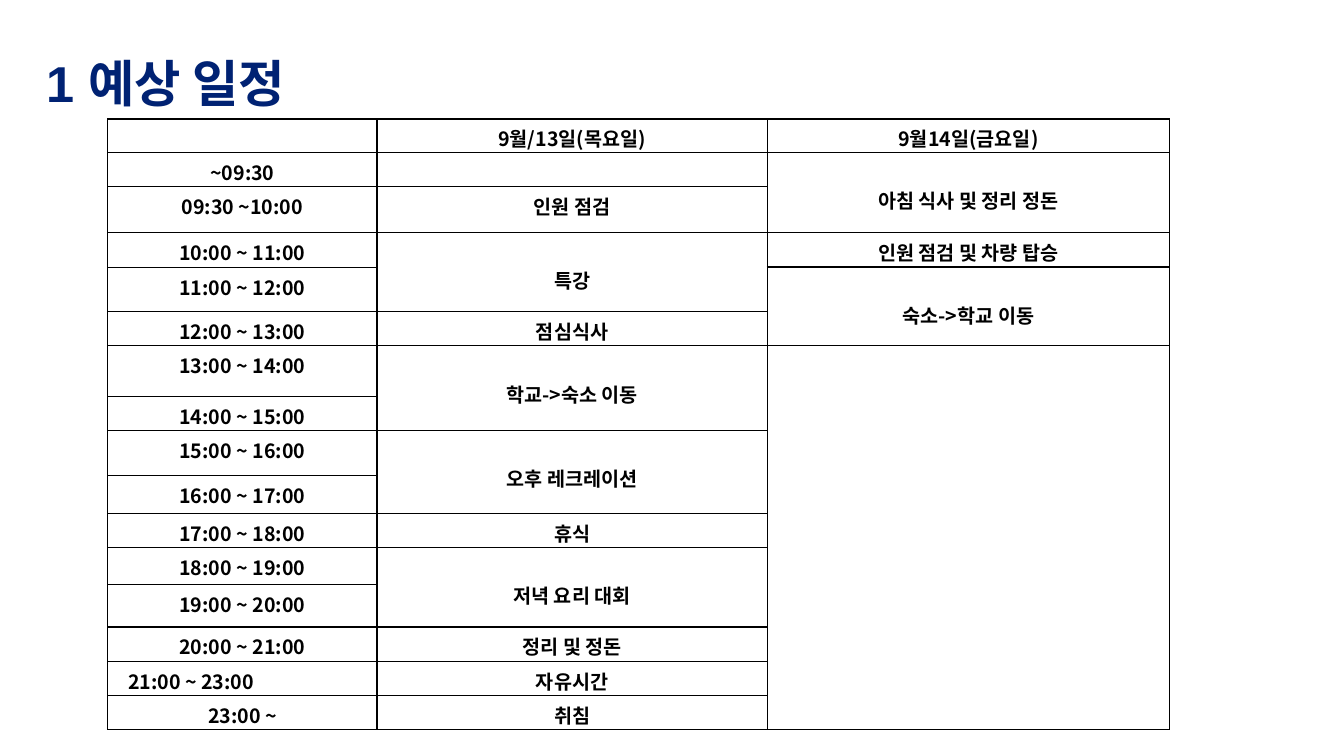
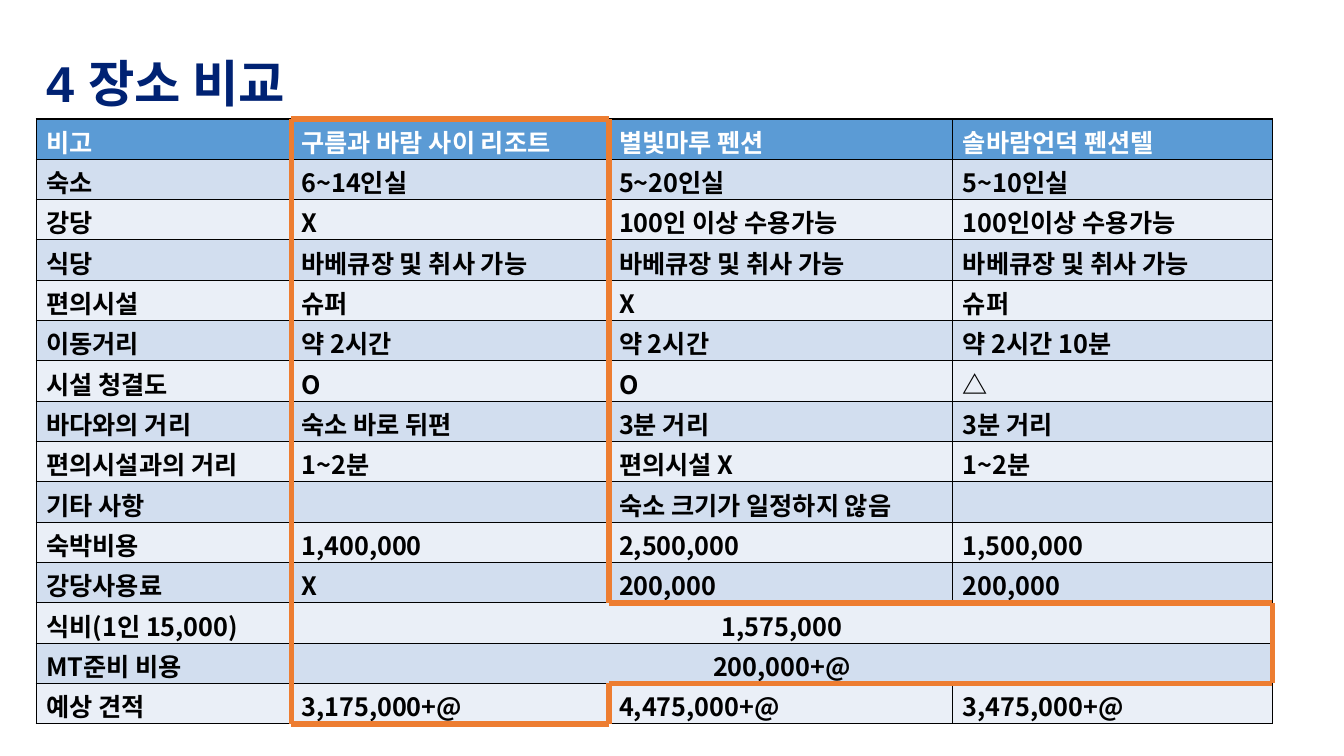
from lxml import etree
from pptx import Presentation
from pptx.dml.color import RGBColor
from pptx.enum.shapes import MSO_CONNECTOR
from pptx.enum.text import PP_ALIGN
from pptx.oxml.ns import qn
from pptx.util import Inches, Pt

LEFT, CENTER = PP_ALIGN.LEFT, PP_ALIGN.CENTER
STRAIGHT = MSO_CONNECTOR.STRAIGHT

# Shared style
TITLE_FONT, BODY_FONT = "Arial", "Noto Sans CJK KR"
NAVY, BLACK, WHITE = "002273", "000000", "FFFFFF"
HEADER, BAND_DARK, BAND_LIGHT = "5B9BD5", "D2DEEF", "EAEFF7"
ORANGE = "ED7D31"
TITLE_X, TITLE_Y, TABLE_Y = 0.36, 0.47, 1.18

# Schedule: one list per column of (first row, row span, text)
SCHEDULE_X = 1.07
SCHEDULE_COLS = [2.67, 3.87, 3.99]
SCHEDULE_ROWS = [0.33, 0.34, 0.46, 0.34, 0, 0.44, 0.34, 0.5, 0.34,
                 0.45, 0.37, 0.34, 0.37, 0.42, 0.34, 0.34, 0.34]
SCHEDULE = [
    [(0, 1, ""), (1, 1, "~09:30"), (2, 1, "09:30 ~10:00"),
     (3, 2, "10:00 ~ 11:00"), (5, 1, "11:00 ~ 12:00"),
     (6, 1, "12:00 ~ 13:00"), (7, 1, "13:00 ~ 14:00"),
     (8, 1, "14:00 ~ 15:00"), (9, 1, "15:00 ~ 16:00"),
     (10, 1, "16:00 ~ 17:00"), (11, 1, "17:00 ~ 18:00"),
     (12, 1, "18:00 ~ 19:00"), (13, 1, "19:00 ~ 20:00"),
     (14, 1, "20:00 ~ 21:00"), (15, 1, "21:00 ~ 23:00"),
     (16, 1, "23:00 ~")],
    [(0, 1, "9월/13일(목요일)"), (1, 1, ""), (2, 1, "인원 점검"),
     (3, 3, "특강"), (6, 1, "점심식사"), (7, 2, "학교->숙소 이동"),
     (9, 2, "오후 레크레이션"), (11, 1, "휴식"), (12, 2, "저녁 요리 대회"),
     (14, 1, "정리 및 정돈"), (15, 1, "자유시간"), (16, 1, "취침")],
    [(0, 1, "9월14일(금요일)"), (1, 2, "아침 식사 및 정리 정돈"),
     (3, 1, "인원 점검 및 차량 탑승"), (4, 3, "숙소->학교 이동"), (7, 10, "")],
]
EARLY_ROW = 15  # time set at the left of its cell

# Venue comparison: a row of two items spans the three venues
VENUE_X = 0.36
VENUE_COLS = [2.53, 3.15, 3.41, 3.17]
VENUE_ROW_H = 0.4
VENUES = [
    ["비고", "구름과 바람 사이 리조트", "별빛마루 펜션", "솔바람언덕 펜션텔"],
    ["숙소", "6~14인실", "5~20인실", "5~10인실"],
    ["강당", "X", "100인 이상 수용가능", "100인이상 수용가능"],
    ["식당"] + ["바베큐장 및 취사 가능"] * 3,
    ["편의시설", "슈퍼", "X", "슈퍼"],
    ["이동거리", "약 2시간", "약 2시간", "약 2시간 10분"],
    ["시설 청결도", "O", "O", "△"],
    ["바다와의 거리", "숙소 바로 뒤편", "3분 거리", "3분 거리"],
    ["편의시설과의 거리", "1~2분", "편의시설 X", "1~2분"],
    ["기타 사항", "", "숙소 크기가 일정하지 않음", ""],
    ["숙박비용", "1,400,000", "2,500,000", "1,500,000"],
    ["강당사용료", "X", "200,000", "200,000"],
    ["식비(1인 15,000)", "1,575,000"],
    ["MT준비 비용", "200,000+@"],
    ["예상 견적", "3,175,000+@", "4,475,000+@", "3,475,000+@"],
]


def rgb(color):
    return RGBColor.from_string(color)


def add_run(p, text, size, font, color):
    r = p.add_run()
    r.text = text
    r.font.size, r.font.bold, r.font.name = Pt(size), True, font
    r.font.color.rgb = rgb(color)
    etree.SubElement(r.font._element, qn("a:ea"), typeface=BODY_FONT)


def add_title(s, text, width):
    box = s.shapes.add_textbox(Inches(TITLE_X), Inches(TITLE_Y),
                               Inches(width), Inches(0.71))
    box.text_frame.word_wrap = False
    add_run(box.text_frame.paragraphs[0], text, 36, TITLE_FONT, NAVY)


def add_grid(s, x, cols, rows):
    """Add a plain table with a thin black border round every cell."""
    frame = s.shapes.add_table(len(rows), len(cols), Inches(x), Inches(TABLE_Y),
                               Inches(sum(cols)), Inches(sum(rows)))
    table = frame.table
    table.first_row = table.horz_banding = False
    for col, width in zip(table.columns, cols):
        col.width = Inches(width)
    for row, height in zip(table.rows, rows):
        row.height = Inches(height)
    for cell in table.iter_cells():
        tc_pr = cell._tc.get_or_add_tcPr()
        for side in ("a:lnL", "a:lnR", "a:lnT", "a:lnB"):
            ln = etree.SubElement(tc_pr, qn(side), w=str(Pt(1)))
            fill = etree.SubElement(ln, qn("a:solidFill"))
            etree.SubElement(fill, qn("a:srgbClr"), val=BLACK)
        cell.fill.background()
    return table


def fill_cell(cell, text, size, color=BLACK, align=LEFT, top=0.05):
    cell.margin_top, cell.margin_bottom = Inches(top), 0
    p = cell.text_frame.paragraphs[0]
    p.alignment = align
    if text:
        add_run(p, text, size, BODY_FONT, color)
    else:  # keeps an empty row from growing
        etree.SubElement(p._p, qn("a:endParaRPr"), sz=str(size * 100))


def add_outline(s, points):
    """Join the points into a closed outline of thick lines."""
    group = s.shapes.add_group_shape()
    for start, end in zip(points, points[1:] + points[:1]):
        line = group.shapes.add_connector(
            STRAIGHT, *(Inches(v) for v in start + end))
        line.line.color.rgb, line.line.width = rgb(ORANGE), Pt(4)
        etree.SubElement(line._element.spPr, qn("a:effectLst"))


def schedule_slide(s):
    add_title(s, "1 예상 일정", 2.87)
    table = add_grid(s, SCHEDULE_X, SCHEDULE_COLS, SCHEDULE_ROWS)
    for c, entries in enumerate(SCHEDULE):
        for row, span, text in entries:
            cell = table.cell(row, c)
            if span > 1:
                cell.merge(table.cell(row + span - 1, c))
            # Merged activities sit one line lower
            top = 0.33 if span > 1 and c > 0 else 0.05
            fill_cell(cell, text, 14, align=CENTER, top=top)
    early = table.cell(EARLY_ROW, 0)
    early.margin_left = Inches(0.2)
    early.text_frame.paragraphs[0].alignment = LEFT


def venue_slide(s):
    add_title(s, "4 장소 비교", 3.05)
    table = add_grid(s, VENUE_X, VENUE_COLS, [VENUE_ROW_H] * len(VENUES))
    for i, texts in enumerate(VENUES):
        band = HEADER if i == 0 else BAND_DARK if i % 2 else BAND_LIGHT
        shared = len(texts) == 2
        if shared:
            table.cell(i, 1).merge(table.cell(i, 3))
        for j in range(len(VENUE_COLS)):
            cell = table.cell(i, j)
            cell.fill.solid()
            cell.fill.fore_color.rgb = rgb(band)
            if j < len(texts):
                fill_cell(cell, texts[j], 18, BLACK if i else WHITE,
                          CENTER if shared and j else LEFT, top=0.04)

    # Outline of the chosen venue and the shared costs
    x1 = VENUE_X + VENUE_COLS[0]
    x2 = x1 + VENUE_COLS[1]
    x3 = VENUE_X + sum(VENUE_COLS)
    y1, y2, y3, y4 = (TABLE_Y + VENUE_ROW_H * n for n in (0, 12, 14, 15))
    add_outline(s, [(x1, y1), (x2, y1), (x2, y2), (x3, y2),
                    (x3, y3), (x2, y3), (x2, y4), (x1, y4)])


def main():
    prs = Presentation()
    prs.slide_width, prs.slide_height = Inches(13.33), Inches(7.5)
    for build in (schedule_slide, venue_slide):
        build(prs.slides.add_slide(prs.slide_layouts[6]))
    prs.save("out.pptx")


if __name__ == "__main__":
    main()
